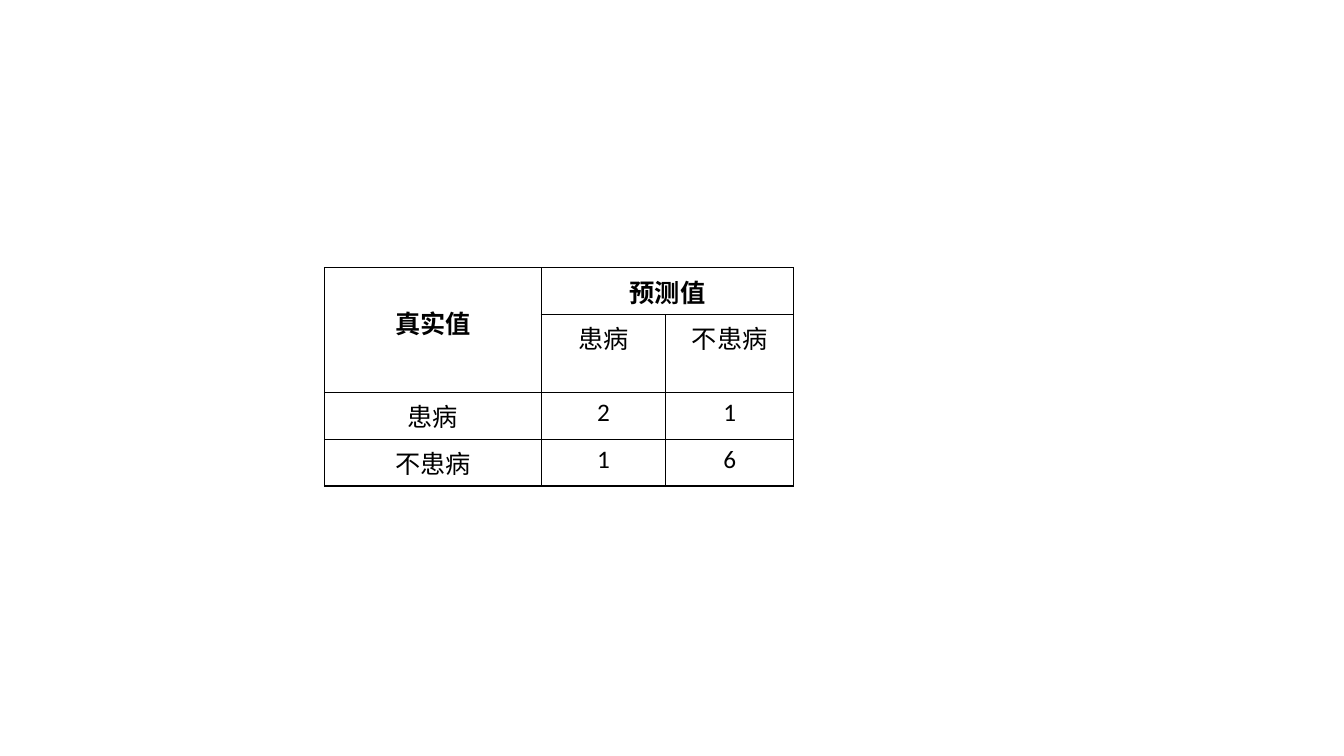
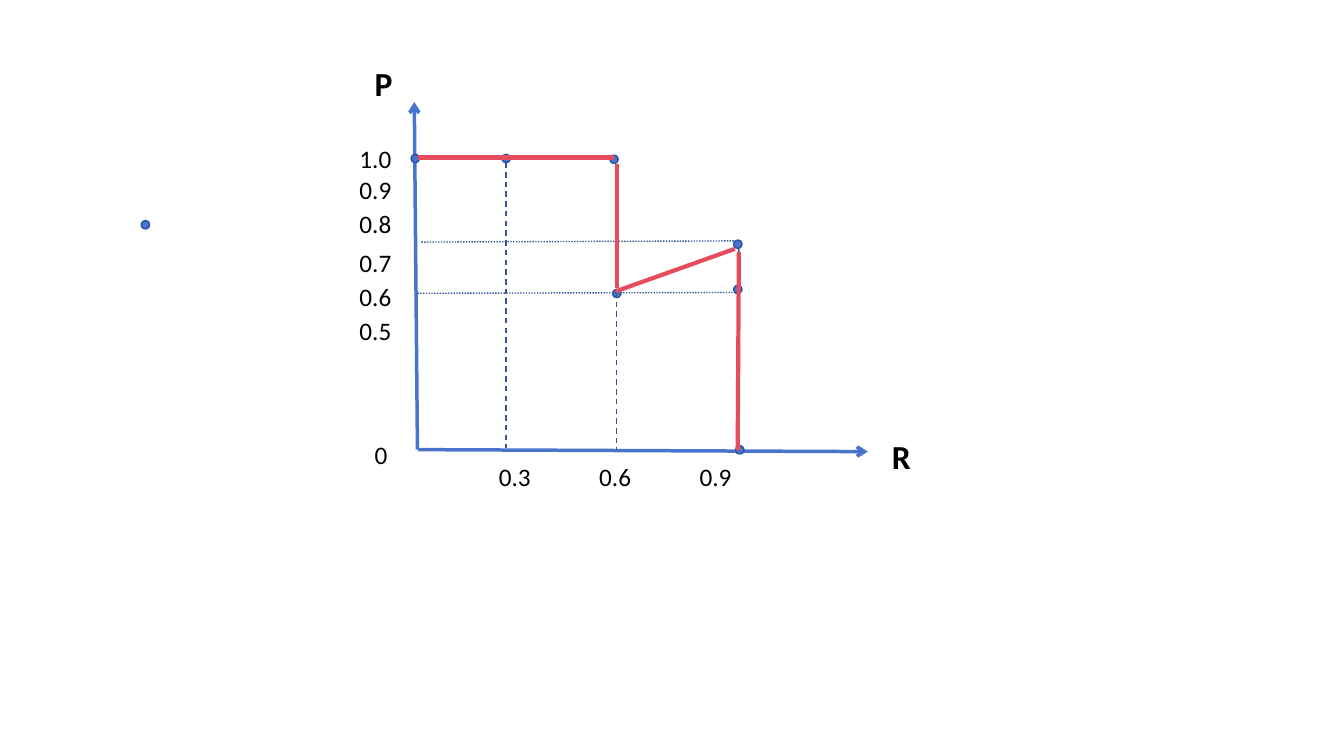
import pptx
import pptx.util
import pptx.dml.color
import pptx.enum.dml
import pptx.enum.shapes
import pptx.enum.text
import pptx.oxml
import pptx.oxml.ns

Cm, Pt = pptx.util.Cm, pptx.util.Pt
DASH = pptx.enum.dml.MSO_LINE
FONT = "Calibri"
HUE = {
    "ink": "000000", "paper": "FFFFFF", "blue": "4874CB",
    "edge": "2E54A1", "guide": "355696", "red": "E54C5E",
}

GRID = [
    ["真实值", "预测值", ""],
    ["", "患病", "不患病"],
    ["患病", "2", "1"],
    ["不患病", "1", "6"],
]
WIDE = [5.46, 3.14, 3.22]
HIGH = [1.18, 1.95, 1.18, 1.18]
SPANS = [((0, 0), (1, 0)), ((0, 1), (0, 2))]

AXES = [
    ((10.54, 11.33), (21.87, 11.38)),
    ((10.52, 11.33), (10.44, 2.57)),
]
NAMES = [("P", 9.19, 1.45), ("R", 22.23, 10.85)]
Y_TICKS = [("1.0", 3.48), ("0.9", 4.27), ("0.8", 5.13),
           ("0.7", 6.1), ("0.6", 6.96), ("0.5", 7.82)]
X_TICKS = ["0.3", "0.6", "0.9"]
TICKS = [("0", 9.19, 10.95)]
TICKS += [(text, 8.81, y) for text, y in Y_TICKS]
TICKS += [(text, 12.32 + 2.53 * i, 11.51) for i, text in enumerate(X_TICKS)]

DOT = 0.21
DOTS = [
    (3.56, 5.56), (10.36, 3.89), (12.65, 3.89), (15.37, 3.91),
    (15.44, 7.29), (18.49, 6.05), (18.49, 7.19), (18.54, 11.23),
]
DROPS = [
    ((12.75, 4.09), (12.75, 11.3)),
    ((15.54, 4.17), (15.54, 11.35)),
    ((18.62, 6.27), (18.57, 11.43)),
]
LEVELS = [
    ((10.52, 7.39), (18.62, 7.37)),
    ((10.62, 6.1), (18.54, 6.07)),
]
CURVE = [
    ((10.54, 3.96), (15.47, 3.96), 3.5),
    ((15.54, 4.14), (15.54, 7.26), 3),
    ((18.52, 6.27), (15.52, 7.34), 3),
    ((18.62, 6.35), (18.59, 11.35), 3),
]


def tone(name):
    return pptx.dml.color.RGBColor.from_string(HUE[name])


def style(para, size, bold=False):
    for run in para.runs:
        run.font.name = FONT
        run.font.size = Pt(size)
        run.font.bold = bold
        run.font.color.rgb = tone("ink")


def label(slide, text, x, y, size, bold=False):
    box = slide.shapes.add_textbox(Cm(x), Cm(y), Cm(1.5), Cm(1))
    box.text_frame.word_wrap = True
    box.text_frame.text = text
    style(box.text_frame.paragraphs[0], size, bold)


def link(slide, start, end, hue, width, dash=None, arrow=False):
    kind = pptx.enum.shapes.MSO_CONNECTOR.STRAIGHT
    line = slide.shapes.add_connector(kind, *map(Cm, start + end))
    line.line.color.rgb = tone(hue)
    line.line.width = Pt(width)
    if dash:
        line.line.dash_style = dash
    if arrow:
        pptx.oxml.ns.qn("a:tailEnd")
        tip = pptx.oxml.parse_xml(
            f'<a:tailEnd {pptx.oxml.ns.nsdecls("a")} type="arrow"/>')
        line.line._get_or_add_ln().append(tip)
    none = pptx.oxml.parse_xml(f'<a:effectLst {pptx.oxml.ns.nsdecls("a")}/>')
    line._element.spPr.append(none)


def dot(slide, x, y):
    kind = pptx.enum.shapes.MSO_SHAPE.OVAL
    mark = slide.shapes.add_shape(kind, Cm(x), Cm(y), Cm(DOT), Cm(DOT))
    mark.shadow.inherit = False
    mark.fill.solid()
    mark.fill.fore_color.rgb = tone("blue")
    mark.line.color.rgb = tone("edge")
    mark.line.width = Pt(1)


def frame(cell):
    props = cell._tc.get_or_add_tcPr()
    for i, side in enumerate("LRTB"):
        props.insert(i, pptx.oxml.parse_xml(
            f'<a:ln{side} {pptx.oxml.ns.nsdecls("a")} w="12700"><a:solidFill>'
            f'<a:srgbClr val="{HUE["ink"]}"/></a:solidFill></a:ln{side}>'))


def matrix(slide):
    table = slide.shapes.add_table(
        len(HIGH), len(WIDE), Cm(8.18), Cm(6.75),
        Cm(sum(WIDE)), Cm(sum(HIGH))).table
    for col, size in zip(table.columns, WIDE):
        col.width = Cm(size)
    for row, size in zip(table.rows, HIGH):
        row.height = Cm(size)
    for r, line in enumerate(GRID):
        for c, text in enumerate(line):
            cell = table.cell(r, c)
            cell.text = text
            cell.fill.solid()
            cell.fill.fore_color.rgb = tone("paper")
            frame(cell)
            para = cell.text_frame.paragraphs[0]
            para.alignment = pptx.enum.text.PP_ALIGN.CENTER
            style(para, 18, r == 0)
    for first, last in SPANS:
        table.cell(*first).merge(table.cell(*last))
    table.cell(0, 0).margin_top = Cm(0.91)


def plot(slide):
    for start, end in AXES:
        link(slide, start, end, "blue", 2.5, arrow=True)
    for name in NAMES:
        label(slide, *name, 24, True)
    for tick in TICKS:
        label(slide, *tick, 18)
    for spot in DOTS:
        dot(slide, *spot)
    for start, end in DROPS:
        link(slide, start, end, "guide", 1, DASH.DASH)
    for start, end in LEVELS:
        link(slide, start, end, "guide", 1, DASH.ROUND_DOT)
    for start, end, width in CURVE:
        link(slide, start, end, "red", width)


def main():
    deck = pptx.Presentation()
    deck.slide_width, deck.slide_height = Cm(33.87), Cm(19.05)
    for draw in (matrix, plot):
        draw(deck.slides.add_slide(deck.slide_layouts[6]))
    deck.save("out.pptx")


if __name__ == "__main__":
    main()
